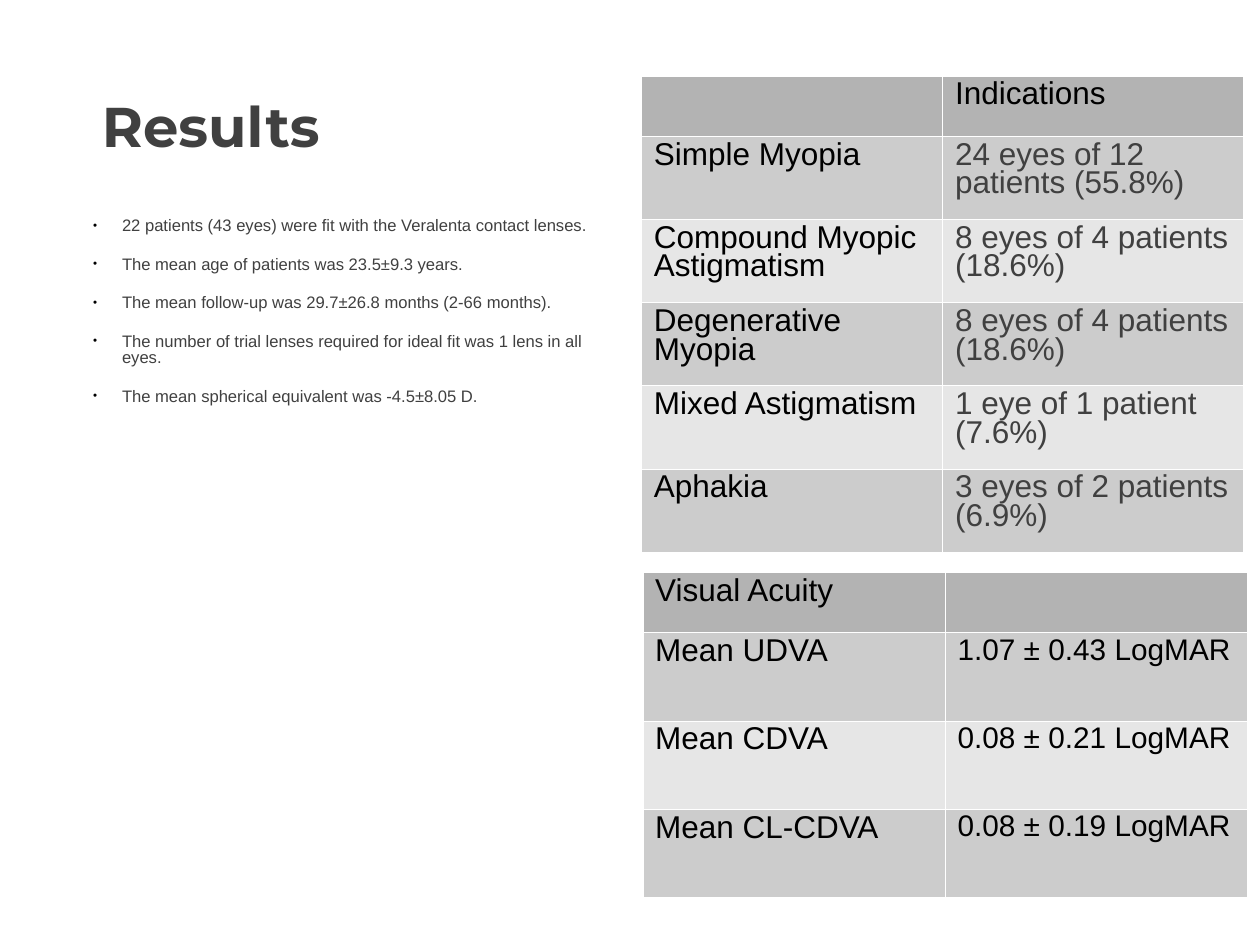
from lxml import etree
from pptx import Presentation
from pptx.dml.color import RGBColor
from pptx.oxml.ns import qn
from pptx.util import Inches, Pt

WIDTH, HEIGHT = 10, 7.5
DARK, BLACK, WHITE = "404040", "000000", "FFFFFF"
HEADER_FILL, BAND_FILLS = "B3B3B3", ("CCCCCC", "E6E6E6")
BORDER_SIDES = ("a:lnL", "a:lnR", "a:lnT", "a:lnB")

FINDINGS = [
    "22 patients (43 eyes) were fit with the Veralenta contact lenses.",
    "The mean age of patients was 23.5±9.3 years.",
    "The mean follow-up was 29.7±26.8 months (2-66 months).",
    "The number of trial lenses required for ideal fit was 1 lens in all eyes.",
    "The mean spherical equivalent was -4.5±8.05 D.",
]
INDICATIONS = [
    ("", "Indications"),
    ("Simple Myopia", "24 eyes of 12 patients (55.8%)"),
    ("Compound Myopic Astigmatism", "8 eyes of 4 patients (18.6%)"),
    ("Degenerative Myopia", "8 eyes of 4 patients (18.6%)"),
    ("Mixed Astigmatism", "1 eye of 1 patient (7.6%)"),
    ("Aphakia", "3 eyes of 2 patients (6.9%)"),
]
ACUITY = [
    ("Visual Acuity", ""),
    ("Mean UDVA", "1.07 ± 0.43 LogMAR"),
    ("Mean CDVA", "0.08 ± 0.21 LogMAR"),
    ("Mean CL-CDVA", "0.08 ± 0.19 LogMAR"),
]


def color(hex_code):
    return RGBColor.from_string(hex_code)


def set_font(paragraph, name, size, hex_code, bold=False):
    font = paragraph.font
    font.name, font.size, font.bold = name, Pt(size), bold
    font.color.rgb = color(hex_code)


def add_text_frame(slide, left, top, width, height):
    box = slide.shapes.add_textbox(*map(Inches, (left, top, width, height)))
    box.text_frame.word_wrap = True
    return box.text_frame


def add_title(slide, text):
    paragraph = add_text_frame(slide, 0.71, 0.68, 8.39, 1.02).paragraphs[0]
    paragraph.text = text
    set_font(paragraph, "Montserrat", 32, DARK, bold=True)


def add_bullet(paragraph):
    """Hang a small black bullet in front of the paragraph."""
    properties = paragraph._p.get_or_add_pPr()
    indent = Inches(0.23)
    properties.set("marL", str(indent))
    properties.set("indent", str(-indent))
    bullet_color = etree.SubElement(properties, qn("a:buClr"))
    etree.SubElement(bullet_color, qn("a:srgbClr"), val=BLACK)
    etree.SubElement(properties, qn("a:buSzPct"), val="70000")
    etree.SubElement(properties, qn("a:buFont"), typeface="Arial")
    etree.SubElement(properties, qn("a:buChar"), char="•")


def add_bullet_list(slide, items):
    frame = add_text_frame(slide, 0.64, 1.69, 4.29, 1.8)
    for index, item in enumerate(items):
        paragraph = frame.add_paragraph() if index else frame.paragraphs[0]
        paragraph.text = item
        add_bullet(paragraph)
        paragraph.line_spacing = 0.8
        paragraph.space_after = Pt(12.9)
        set_font(paragraph, "Arial", 9.5, DARK)


def add_borders(cell):
    properties = cell._tc.get_or_add_tcPr()
    for side in BORDER_SIDES:
        line = etree.SubElement(properties, qn(side), w=str(Pt(0.06)))
        fill = etree.SubElement(line, qn("a:solidFill"))
        etree.SubElement(fill, qn("a:srgbClr"), val=WHITE)


def style_cell(cell, text, fill, size, text_color):
    add_borders(cell)
    cell.fill.solid()
    cell.fill.fore_color.rgb = color(fill)
    cell.text = text
    paragraph = cell.text_frame.paragraphs[0]
    paragraph.line_spacing = 0.81
    set_font(paragraph, "Arial", size, text_color)


def add_banded_table(slide, rows, left, top, column_width, row_height,
                     value_size, value_color):
    """Add a two-column table: a header row, then rows of equal height."""
    header_height = 0.48
    height = header_height + row_height * (len(rows) - 1)
    table = slide.shapes.add_table(
        len(rows), 2, *map(Inches, (left, top, 2 * column_width, height))).table
    for column in table.columns:
        column.width = Inches(column_width)
    for row_index, texts in enumerate(rows):
        is_header = row_index == 0
        table.rows[row_index].height = Inches(header_height if is_header else row_height)
        fill = HEADER_FILL if is_header else BAND_FILLS[(row_index - 1) % 2]
        for column_index, text in enumerate(texts):
            is_value = column_index == 1 and not is_header
            style_cell(table.cell(row_index, column_index), text, fill,
                       value_size if is_value else 18,
                       value_color if is_value else BLACK)


def main():
    presentation = Presentation()
    presentation.slide_width = Inches(WIDTH)
    presentation.slide_height = Inches(HEIGHT)
    slide = presentation.slides.add_slide(presentation.slide_layouts[6])
    add_title(slide, "Results")
    add_bullet_list(slide, FINDINGS)
    add_banded_table(slide, ACUITY, 5.1, 4.54, 2.4, 0.7, 17, BLACK)
    add_banded_table(slide, INDICATIONS, 5.09, 0.6, 2.39, 0.66, 18, DARK)
    presentation.save("out.pptx")


if __name__ == "__main__":
    main()
